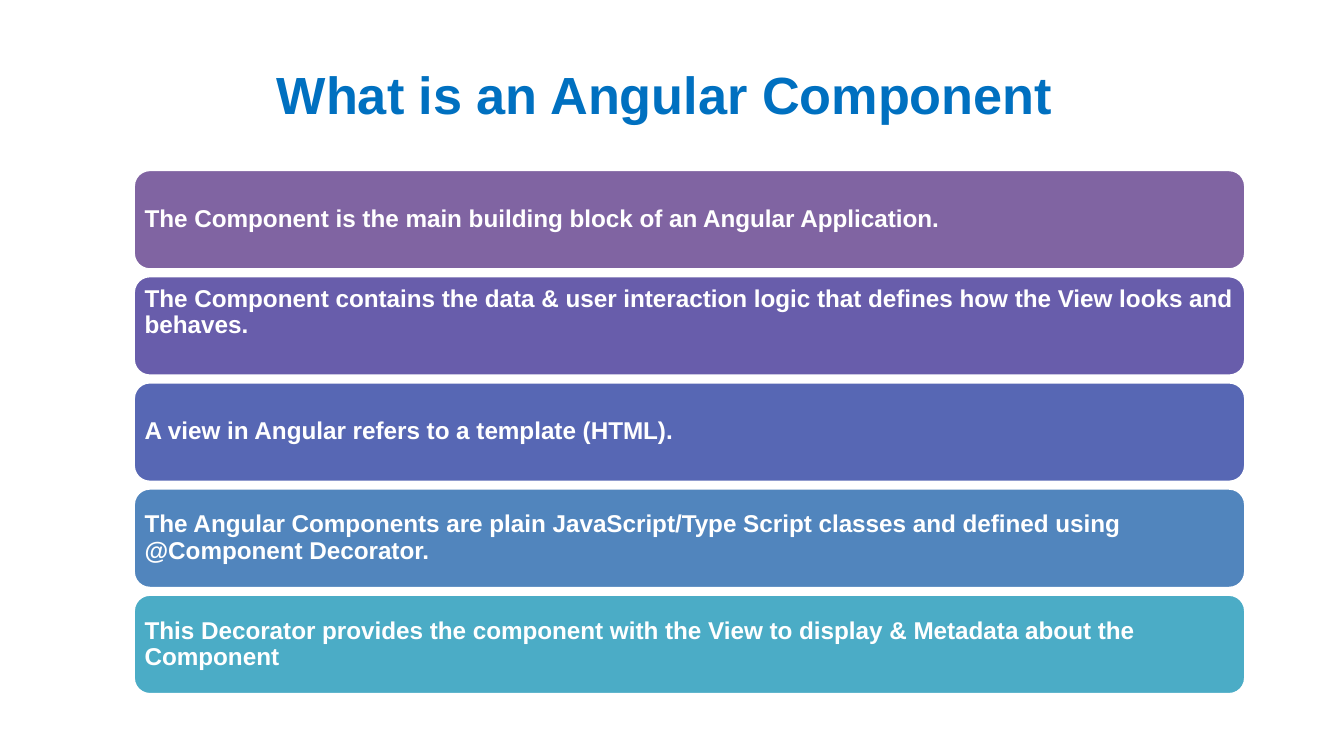
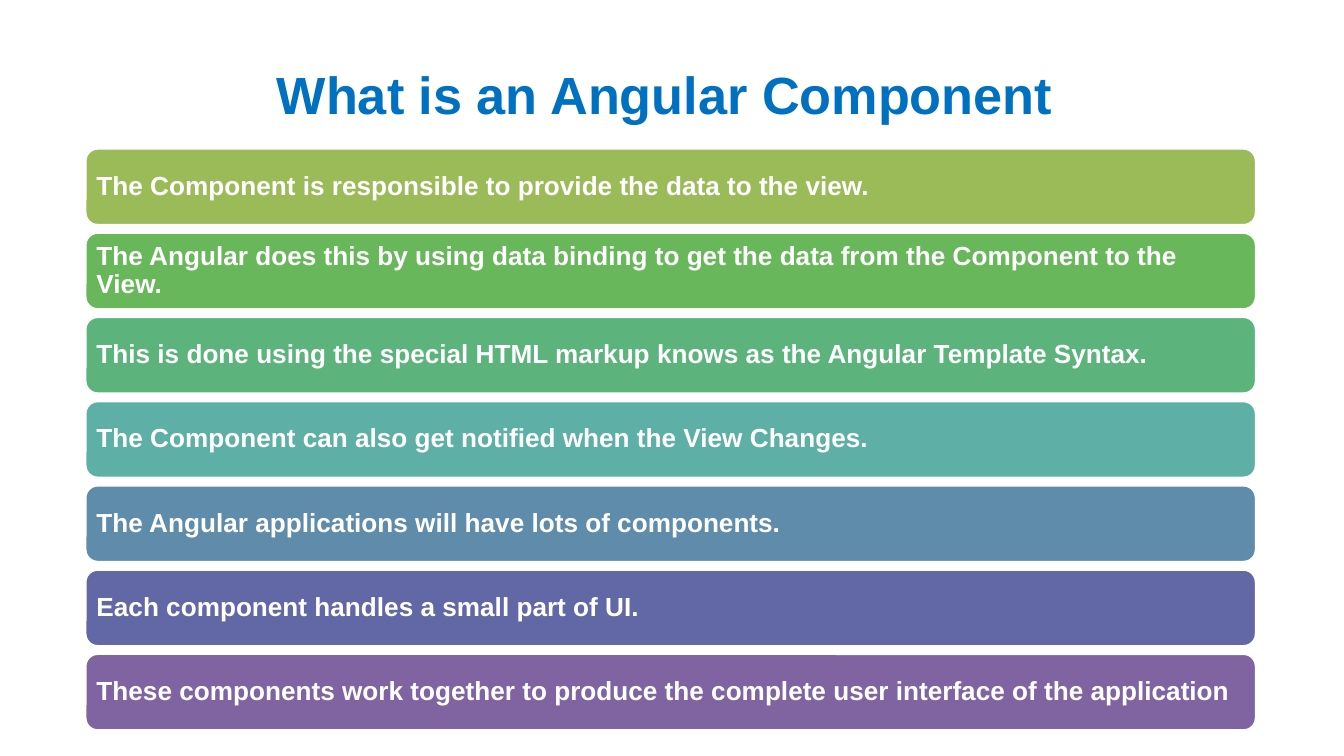
from dataclasses import dataclass

import pptx
import pptx.dml.color
import pptx.enum.shapes
import pptx.enum.text
import pptx.presentation
import pptx.slide
import pptx.util

Inches = pptx.util.Inches
Pt = pptx.util.Pt
RGBColor = pptx.dml.color.RGBColor

FONT = "Arial"
TITLE = "What is an Angular Component"
TITLE_ONLY = 5
SLIDE_WIDTH = 10

WHITE = RGBColor(0xFF, 0xFF, 0xFF)
TITLE_BLUE = RGBColor(0x00, 0x70, 0xC0)
PURPLE = RGBColor(0x80, 0x64, 0xA2)
VIOLET = RGBColor(0x68, 0x5D, 0xAB)
INDIGO = RGBColor(0x57, 0x67, 0xB4)
BLUE = RGBColor(0x51, 0x85, 0xBD)
AQUA = RGBColor(0x4B, 0xAC, 0xC6)
OLIVE = RGBColor(0x9B, 0xBB, 0x59)
GREEN = RGBColor(0x69, 0xB7, 0x5B)
EMERALD = RGBColor(0x5C, 0xB3, 0x7C)
TEAL = RGBColor(0x5E, 0xAF, 0xA6)
STEEL = RGBColor(0x60, 0x8C, 0xAB)
SLATE = RGBColor(0x62, 0x67, 0xA6)


@dataclass(frozen=True)
class Bar:
    text: str
    color: RGBColor
    lift: float = 0


@dataclass(frozen=True)
class BarList:
    left: float
    first_top: float
    last_top: float
    width: float
    height: float
    inset: float
    size: int
    bars: tuple[Bar, ...]


BUILDING_BLOCKS = BarList(
    left=0.99, first_top=1.26, last_top=4.42, width=8.28, height=0.75, inset=0.05, size=13,
    bars=(
        Bar("The Component is the main building block of an Angular Application.", PURPLE),
        Bar("The Component contains the data & user interaction logic that defines "
            "how the View looks and behaves.", VIOLET, lift=0.2),
        Bar("A view in Angular refers to a template (HTML).", INDIGO),
        Bar("The Angular Components are plain JavaScript/Type Script classes and "
            "defined using @Component Decorator.", BLUE),
        Bar("This Decorator provides the component with the View to display & "
            "Metadata about the Component", AQUA),
    ),
)

RESPONSIBILITIES = BarList(
    left=0.63, first_top=1.1, last_top=4.86, width=8.72, height=0.58, inset=0.06, size=14,
    bars=(
        Bar("The Component is responsible to provide the data to the view.", OLIVE),
        Bar("The Angular does this by using data binding to get the data from the "
            "Component to the View.", GREEN),
        Bar("This is done using the special HTML markup knows as the Angular "
            "Template Syntax.", EMERALD),
        Bar("The Component can also get notified when the View Changes.", TEAL),
        Bar("The Angular applications will have lots of components.", STEEL),
        Bar("Each component handles a small part of UI.", SLATE),
        Bar("These components work together to produce the complete user interface "
            "of the application", PURPLE),
    ),
)


def format_paragraph(p, size: int, color: RGBColor) -> None:
    p.alignment = pptx.enum.text.PP_ALIGN.LEFT
    p.font.name = FONT
    p.font.size = Pt(size)
    p.font.bold = True
    p.font.color.rgb = color


def set_title(slide: pptx.slide.Slide) -> None:
    sp = slide.shapes.title
    sp.left, sp.top = Inches(1.96), Inches(0.41)
    sp.width, sp.height = Inches(6.96), Inches(0.57)
    tf = sp.text_frame
    tf.text = TITLE
    tf.word_wrap = True
    tf.auto_size = pptx.enum.text.MSO_AUTO_SIZE.SHAPE_TO_FIT_TEXT
    tf.vertical_anchor = pptx.enum.text.MSO_ANCHOR.TOP
    format_paragraph(tf.paragraphs[0], 28, TITLE_BLUE)


def draw_bar(slide: pptx.slide.Slide, bars: BarList, bar: Bar, top: float) -> None:
    sp = slide.shapes.add_shape(
        pptx.enum.shapes.MSO_SHAPE.ROUNDED_RECTANGLE,
        Inches(bars.left), Inches(top), Inches(bars.width), Inches(bars.height),
    )
    sp.shadow.inherit = False
    sp.fill.solid()
    sp.fill.fore_color.rgb = bar.color
    sp.line.color.rgb = WHITE
    sp.line.width = Pt(2)
    tf = sp.text_frame
    tf.word_wrap = True
    tf.vertical_anchor = pptx.enum.text.MSO_ANCHOR.MIDDLE
    tf.margin_left = tf.margin_right = tf.margin_top = Inches(bars.inset)
    tf.margin_bottom = Inches(bars.inset + bar.lift)
    p = tf.paragraphs[0]
    p.text = bar.text
    p.line_spacing = 0.9
    format_paragraph(p, bars.size, WHITE)


def add_bar_slide(prs: pptx.presentation.Presentation, bars: BarList) -> None:
    slide = prs.slides.add_slide(prs.slide_layouts[TITLE_ONLY])
    set_title(slide)
    pitch = (bars.last_top - bars.first_top) / (len(bars.bars) - 1)
    for i, bar in enumerate(bars.bars):
        draw_bar(slide, bars, bar, bars.first_top + i * pitch)


def main() -> None:
    prs = pptx.Presentation()
    prs.slide_width = Inches(SLIDE_WIDTH)
    prs.slide_height = Inches(SLIDE_WIDTH * 9 / 16)
    for bars in (BUILDING_BLOCKS, RESPONSIBILITIES):
        add_bar_slide(prs, bars)
    prs.save("out.pptx")


if __name__ == "__main__":
    main()
